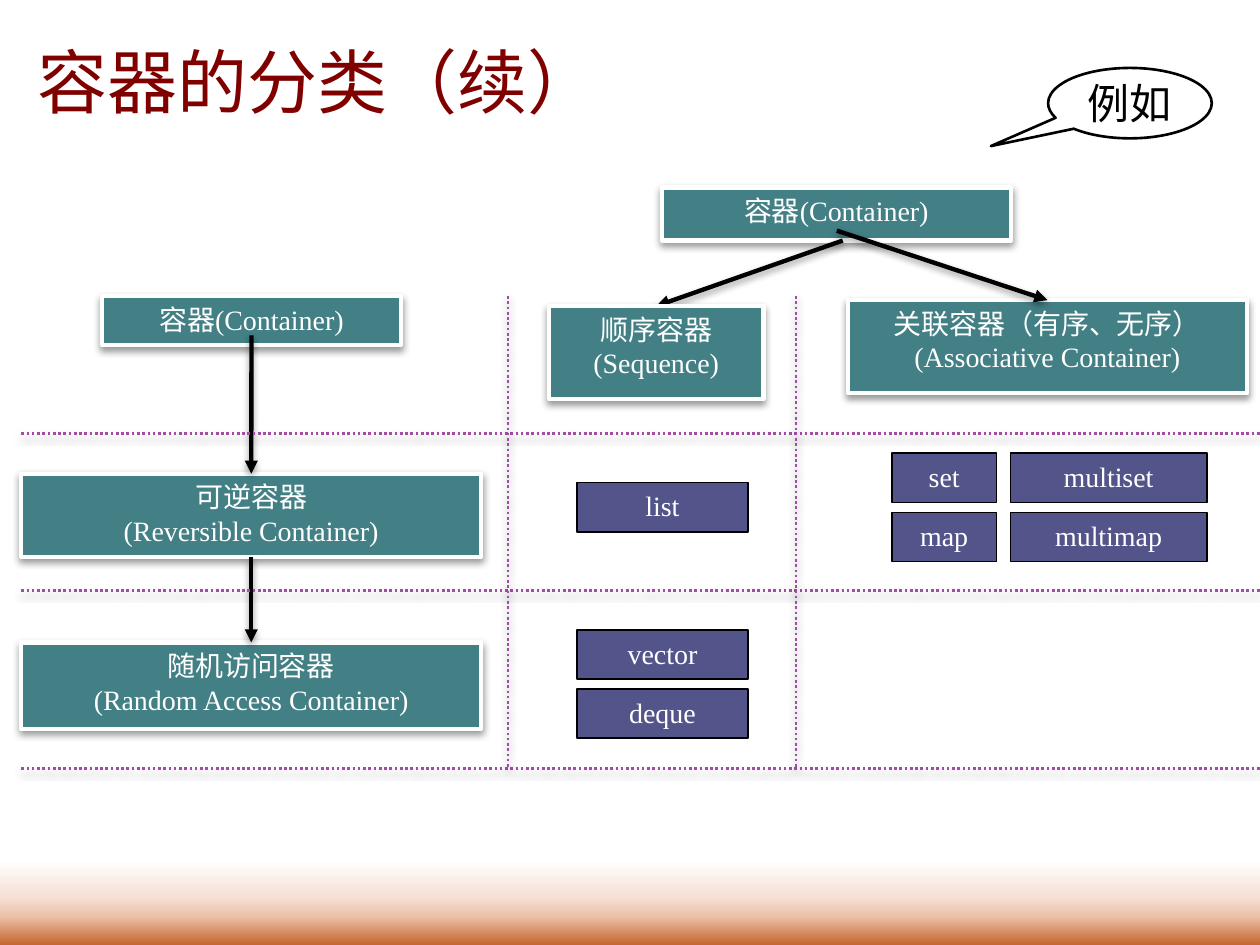
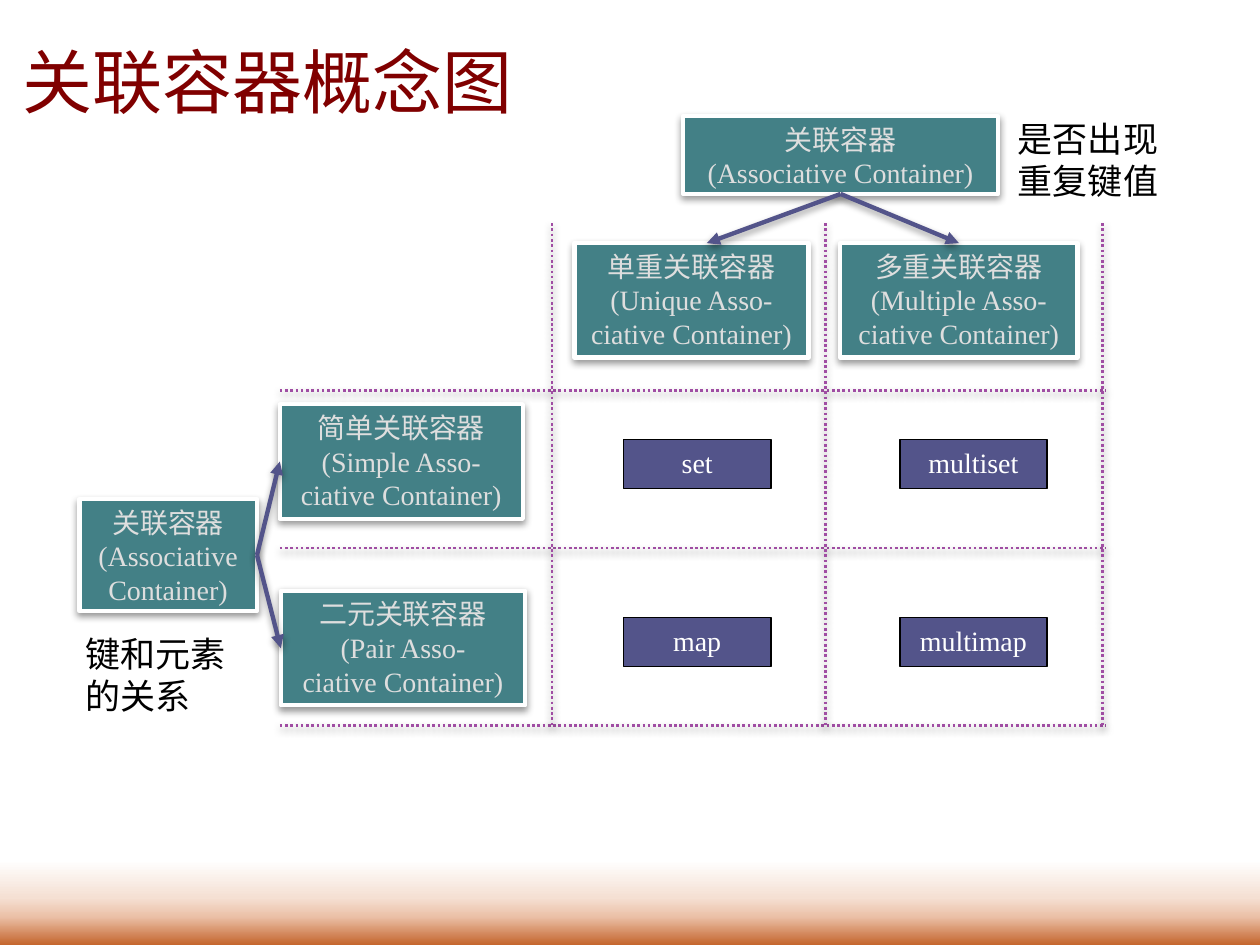
import lxml.etree
import pptx
import pptx.dml.color
import pptx.enum.dml
import pptx.enum.shapes
import pptx.enum.text
import pptx.oxml
import pptx.oxml.ns
import pptx.util

Cm = pptx.util.Cm
Pt = pptx.util.Pt
Kind = pptx.enum.shapes.MSO_SHAPE
Align = pptx.enum.text.PP_ALIGN
Anchor = pptx.enum.text.MSO_ANCHOR
qn = pptx.oxml.ns.qn

HUES = {
    "title": "800000",
    "box": "438086",
    "tag": "53548A",
    "rule": "A04DA3",
    "white": "FFFFFF",
    "pale": "DEDEDE",
    "black": "000000",
}
FADE = [(91, "FFFFFF"), (95, "F5E0D3"), (97, "EBC0A7"), (100, "C4652D")]
SERIF = "Times New Roman"
SANS = "Noto Sans CJK SC"


def hue(name):
    return pptx.dml.color.RGBColor.from_string(HUES[name])


class Deck:
    def __init__(self):
        self.prs = pptx.Presentation()
        self.prs.slide_width = Cm(25.4)
        self.prs.slide_height = Cm(19.05)
        self.slide = None
        self.fade()

    def fade(self):
        """Give the master a background that turns orange at the foot."""
        master = self.prs.slide_master
        fill = master.background.fill
        fill.gradient()
        fill.gradient_angle = 270
        stops = master.element.find(".//" + qn("a:gsLst"))
        for stop in list(stops):
            stops.remove(stop)
        for place, tint in FADE:
            stop = lxml.etree.SubElement(stops, qn("a:gs"), pos=str(place * 1000))
            lxml.etree.SubElement(stop, qn("a:srgbClr"), val=tint)

    def page(self, title, left):
        self.slide = self.prs.slides.add_slide(self.prs.slide_layouts[5])
        head = self.slide.shapes.title
        head.left, head.top = Cm(left), Cm(0.13)
        head.width, head.height = Cm(24), Cm(2.97)
        self.label(head, title, 40, "title", SANS, Align.LEFT, Anchor.MIDDLE)

    def label(self, shape, text, size, ink, face=SERIF,
              align=Align.CENTER, anchor=Anchor.TOP):
        frame = shape.text_frame
        frame.text = text
        frame.word_wrap = True
        frame.vertical_anchor = anchor
        for para in frame.paragraphs:
            para.alignment = align
            para.font.size = Pt(size)
            para.font.name = face
            para.font.color.rgb = hue(ink)

    def shade(self, effects):
        cast = lxml.etree.SubElement(
            effects, qn("a:outerShdw"), blurRad=str(Pt(4.1)), dist=str(Pt(2)),
            dir="5400000", rotWithShape="0")
        tint = lxml.etree.SubElement(cast, qn("a:srgbClr"), val=HUES["black"])
        lxml.etree.SubElement(tint, qn("a:alpha"), val="40000")

    def shape(self, kind, area, fill, edge, width):
        item = self.slide.shapes.add_shape(kind, *map(Cm, area))
        item.shadow.inherit = False
        item.fill.solid()
        item.fill.fore_color.rgb = hue(fill)
        item.line.color.rgb = hue(edge)
        item.line.width = Pt(width)
        return item

    def box(self, text, area, ink="white"):
        item = self.shape(Kind.RECTANGLE, area, "box", "white", 2.5)
        self.shade(item.element.spPr.find(qn("a:effectLst")))
        self.label(item, text, 16, ink)
        return item

    def tag(self, text, left, top, width):
        item = self.shape(Kind.RECTANGLE, (left, top, width, 0.99),
                          "tag", "black", 1)
        self.label(item, text, 16, "white")

    def bubble(self, text, area, tip):
        item = self.shape(Kind.OVAL_CALLOUT, area, "white", "black", 1.5)
        item.adjustments[0], item.adjustments[1] = tip
        self.label(item, text, 24, "black", "Cambria", anchor=Anchor.MIDDLE)

    def note(self, text, left, top):
        item = self.slide.shapes.add_textbox(Cm(left), Cm(top), Cm(3.89), Cm(1.96))
        self.label(item, text, 20, "black", align=Align.LEFT)

    def line(self, start, end, ink, width):
        item = self.slide.shapes.add_connector(
            pptx.enum.shapes.MSO_CONNECTOR.STRAIGHT, *map(Cm, start + end))
        item.line.color.rgb = hue(ink)
        item.line.width = Pt(width)
        self.shade(lxml.etree.SubElement(item.element.spPr, qn("a:effectLst")))
        return item

    def arrow(self, start, end, ink):
        """Draw an arrow; each end is a point or a (shape, side) pair."""
        ends = [(0, 0) if hasattr(e[0], "shape_id") else e for e in (start, end)]
        item = self.line(*ends, ink, 2.5)
        stroke = item.element.spPr.find(qn("a:ln"))
        lxml.etree.SubElement(stroke, qn("a:tailEnd"), type="triangle")
        if hasattr(start[0], "shape_id"):
            item.begin_connect(*start)
        if hasattr(end[0], "shape_id"):
            item.end_connect(*end)
        return item

    def rules(self, rows, cols, span, drop):
        """Draw dotted rows across span and dotted columns down drop."""
        pairs = [((span[0], y), (span[1], y)) for y in rows]
        pairs += [((x, drop[0]), (x, drop[1])) for x in cols]
        for start, end in pairs:
            item = self.line(start, end, "rule", 1.5)
            item.line.dash_style = pptx.enum.dml.MSO_LINE.ROUND_DOT


def kinds(deck):
    deck.page("容器的分类（续）", 0.51)
    deck.box("容器(Container)", (2.06, 5.97, 6.02, 0.99))
    random = deck.box("随机访问容器\v(Random Access Container)",
                      (0.43, 12.95, 9.27, 1.75))
    back = deck.box("可逆容器\n(Reversible Container)", (0.43, 9.55, 9.27, 1.68))
    deck.arrow((back, 2), (random, 0), "black")
    deck.arrow((5.07, 6.76), (back, 0), "black")

    deck.box("容器(Container)", (13.34, 3.78, 7.04, 1.07))
    left = deck.arrow((16.99, 4.85), (13.23, 6.17), "black")
    order = deck.box("顺序容器(Sequence)", (11.07, 6.17, 4.32, 1.88))
    left.end_connect(order, 0)
    assoc = deck.box("关联容器（有序、无序）\v(Associative Container)",
                     (17.09, 6.05, 8.05, 1.88))
    deck.arrow((16.87, 4.65), (assoc, 0), "black")

    for text, top in (("vector", 12.7), ("deque", 13.89), ("list", 9.73)):
        deck.tag(text, 11.63, top, 3.45)
    for row, stem in enumerate(("set", "map")):
        top = 9.14 + 1.19 * row
        deck.tag("multi" + stem, 20.37, top, 3.96)
        deck.tag(stem, 17.98, top, 2.11)

    deck.rules((8.74, 11.91, 15.49), (10.24, 16.05), (0.43, 25.4), (5.97, 15.49))
    deck.bubble("例如", (21.13, 1.37, 3.3, 1.42), (-0.85, 0.61))


def concept(deck):
    deck.page("关联容器概念图", 0.2)
    assoc = "关联容器\n(Associative Container)"
    top = deck.box(assoc, (13.77, 2.34, 6.35, 1.57), "pale")
    deck.box("单重关联容器\n(Unique Asso-\vciative Container)",
             (11.58, 4.9, 4.72, 2.31), "pale")
    multi = deck.box("多重关联容器\n(Multiple Asso-\vciative Container)",
                     (16.94, 4.9, 4.78, 2.31), "pale")
    side = deck.box(assoc, (1.6, 10.06, 3.58, 2.26), "pale")
    plain = deck.box("简单关联容器\n(Simple Asso-\vciative Container)",
                     (5.64, 8.15, 4.9, 2.31), "pale")
    pair = deck.box("二元关联容器\n(Pair Asso-\vciative Container)",
                    (5.66, 11.91, 4.93, 2.31), "pale")
    for end in ((14.25, 4.9), (multi, 0)):
        deck.arrow((top, 2), end, "tag")
    for end in (plain, pair):
        deck.arrow((side, 3), (end, 1), "tag")

    deck.rules((7.87, 11.05, 14.63), (11.13, 16.64, 22.23),
               (5.64, 22.3), (4.5, 14.63))
    for stem, y in (("set", 8.86), ("map", 12.45)):
        deck.tag("multi" + stem, 18.14, y, 2.97)
        deck.tag(stem, 12.57, y, 2.97)
    deck.note("是否出现重复键值", 20.27, 2.24)
    deck.note("键和元素的关系", 1.47, 12.62)


def main():
    deck = Deck()
    kinds(deck)
    concept(deck)
    deck.prs.save("out.pptx")


if __name__ == "__main__":
    main()
